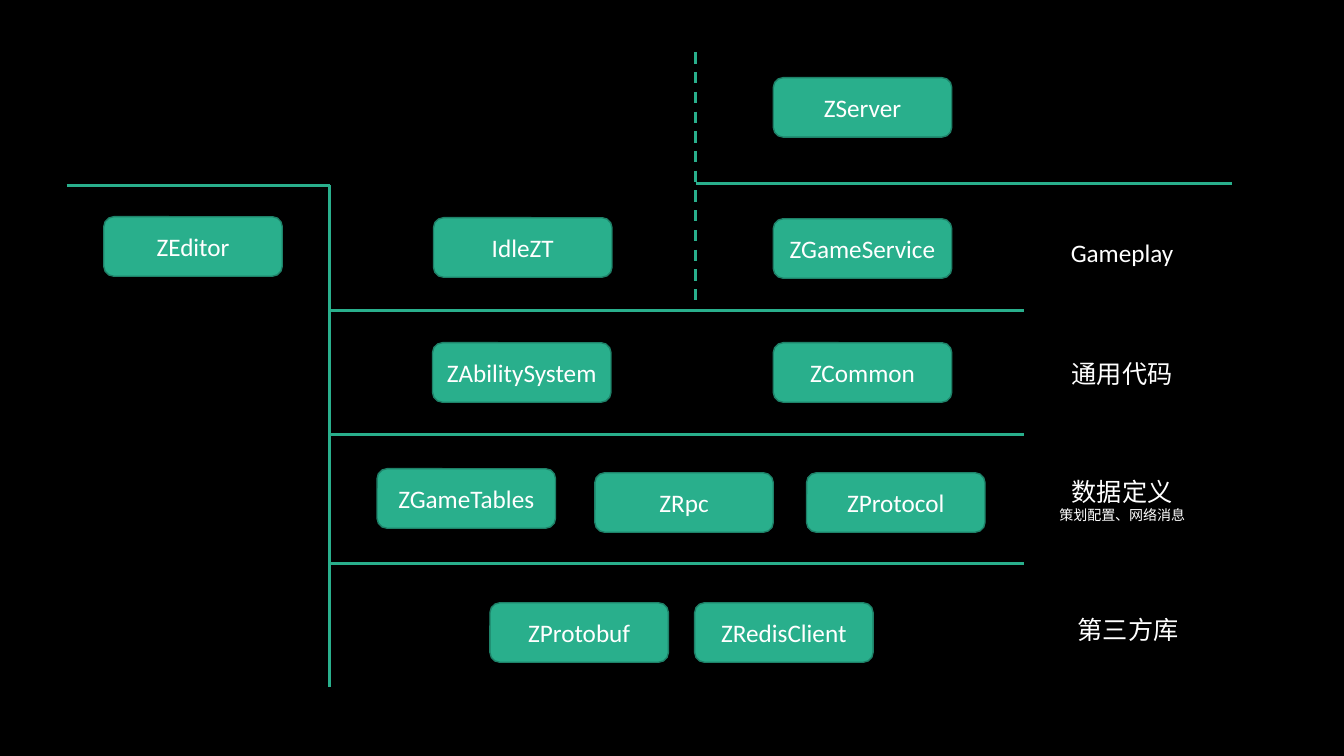
from dataclasses import dataclass

from lxml import etree
from pptx import Presentation
from pptx.dml.color import RGBColor
from pptx.enum.dml import MSO_LINE
from pptx.enum.shapes import MSO_CONNECTOR, MSO_SHAPE
from pptx.enum.text import MSO_ANCHOR, PP_ALIGN
from pptx.oxml.ns import qn
from pptx.util import Inches, Pt

ROUNDED = MSO_SHAPE.ROUNDED_RECTANGLE
STRAIGHT = MSO_CONNECTOR.STRAIGHT
DASH = MSO_LINE.DASH
MIDDLE = MSO_ANCHOR.MIDDLE
CENTER = PP_ALIGN.CENTER


@dataclass(frozen=True)
class Theme:
    background: RGBColor = RGBColor(0x00, 0x00, 0x00)
    green: RGBColor = RGBColor(0x29, 0xAF, 0x8C)
    outline: RGBColor = RGBColor(0x1E, 0x81, 0x68)
    text: RGBColor = RGBColor(0xFF, 0xFF, 0xFF)
    font: str = "Calibri"
    size: int = 18
    note_size: int = 10
    outline_width: int = 1
    rule_width: int = 2


@dataclass(frozen=True)
class Module:
    name: str
    left: float
    top: float


@dataclass(frozen=True)
class LayerLabel:
    title: str
    left: float
    top: float
    height: float = 0.79
    note: str = ""


@dataclass(frozen=True)
class Rule:
    x1: float
    y1: float
    x2: float
    y2: float
    dashed: bool = False


THEME = Theme()
MODULE_W, MODULE_H = 1.77, 0.59
LABEL_W = 2.06
EDITOR_X, LAYER_END_X, SERVER_X = 3.27, 10.16, 6.9

MODULES = [
    Module("ZServer", 7.67, 0.77),
    Module("ZEditor", 1.03, 2.15),
    Module("IdleZT", 4.3, 2.16),
    Module("ZGameService", 7.67, 2.17),
    Module("ZAbilitySystem", 4.29, 3.4),
    Module("ZCommon", 7.67, 3.4),
    Module("ZGameTables", 3.74, 4.65),
    Module("ZRpc", 5.9, 4.69),
    Module("ZProtocol", 8, 4.69),
    Module("ZProtobuf", 4.86, 5.98),
    Module("ZRedisClient", 6.89, 5.98),
]

LABELS = [
    LayerLabel("Gameplay", 10.1, 2.11),
    LayerLabel("通用代码", 10.1, 3.31),
    LayerLabel("数据定义", 10.1, 4.56, note="策划配置、网络消息"),
    LayerLabel("第三方库", 10.16, 5.9, height=0.68),
]

RULES = [
    *(Rule(EDITOR_X, y, LAYER_END_X, y) for y in (3.08, 4.31, 5.59)),
    Rule(SERVER_X, 0.52, SERVER_X, 3.09, dashed=True),
    Rule(SERVER_X, 1.82, 12.22, 1.82),
    Rule(EDITOR_X, 1.84, EDITOR_X, 6.82),
    Rule(0.66, 1.84, EDITOR_X, 1.84),
]


def add_rounded(slide, left: float, top: float, width: float, height: float,
                lines: list[tuple[str, int]]):
    """Add a rounded rectangle with centred lines of (text, size)."""
    sp = slide.shapes.add_shape(ROUNDED, Inches(left), Inches(top),
                                Inches(width), Inches(height))
    sp.shadow.inherit = False
    tf = sp.text_frame
    tf.word_wrap = True
    tf.vertical_anchor = MIDDLE
    for i, (text, size) in enumerate(lines):
        p = tf.paragraphs[0] if i == 0 else tf.add_paragraph()
        p.text = text
        p.alignment = CENTER
        p.font.name = THEME.font
        p.font.size = Pt(size)
        p.font.color.rgb = THEME.text
    return sp


def add_module(slide, module: Module) -> None:
    sp = add_rounded(slide, module.left, module.top, MODULE_W, MODULE_H,
                     [(module.name, THEME.size)])
    sp.fill.solid()
    sp.fill.fore_color.rgb = THEME.green
    sp.line.color.rgb = THEME.outline
    sp.line.width = Pt(THEME.outline_width)


def add_label(slide, label: LayerLabel) -> None:
    lines = [(label.title, THEME.size)]
    if label.note:
        lines.append((label.note, THEME.note_size))
    sp = add_rounded(slide, label.left, label.top, LABEL_W, label.height, lines)
    sp.fill.background()
    sp.line.fill.background()


def add_rule(slide, rule: Rule) -> None:
    line = slide.shapes.add_connector(STRAIGHT, Inches(rule.x1), Inches(rule.y1),
                                      Inches(rule.x2), Inches(rule.y2))
    line.line.color.rgb = THEME.green
    line.line.width = Pt(THEME.rule_width)
    if rule.dashed:
        line.line.dash_style = DASH
    etree.SubElement(line._element.spPr, qn("a:effectLst"))


def main() -> None:
    prs = Presentation()
    prs.slide_width, prs.slide_height = Inches(13.33), Inches(7.5)
    s = prs.slides.add_slide(prs.slide_layouts[6])
    s.background.fill.solid()
    s.background.fill.fore_color.rgb = THEME.background

    # Layer boundaries
    for rule in RULES:
        add_rule(s, rule)

    # Modules
    for module in MODULES:
        add_module(s, module)

    # Layer names
    for label in LABELS:
        add_label(s, label)

    prs.save("out.pptx")


if __name__ == "__main__":
    main()
